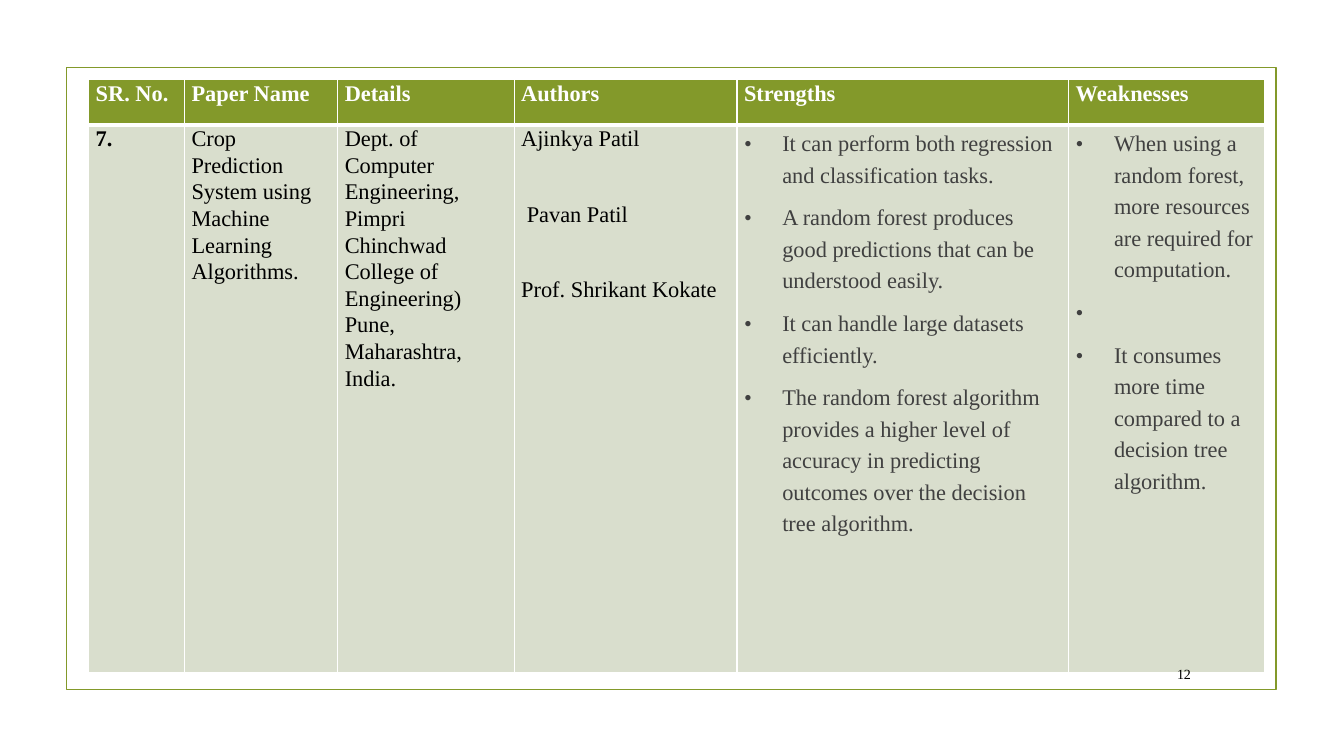
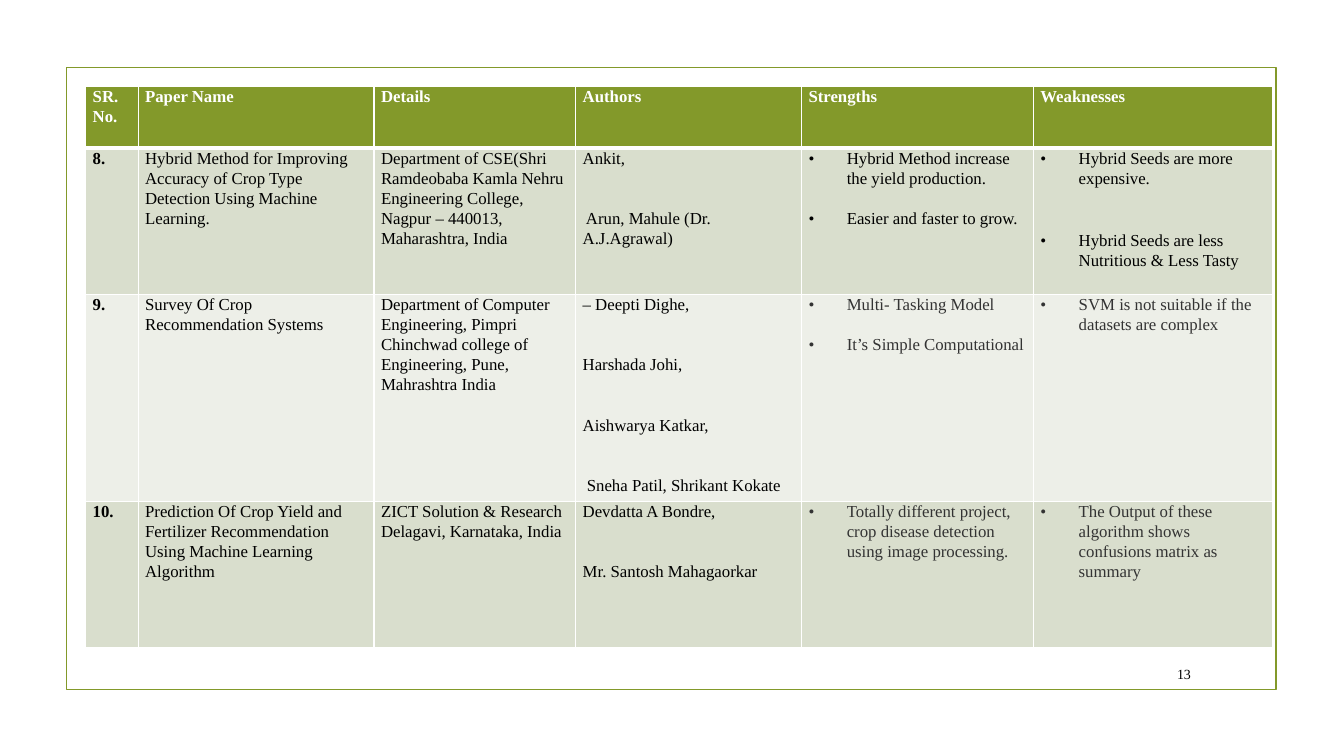
from lxml import etree
from pptx import Presentation
from pptx import util as u
from pptx.dml import color
from pptx.enum import shapes, text
from pptx.oxml import ns

COLORS = {
    "green": "83992A",
    "band": "D9DECD",
    "pale": "EDEFE8",
    "white": "FFFFFF",
    "black": "000000",
    "gray": "404040",
    "charcoal": "333333",
}
BLANK = chr(160)
HEADINGS = ["SR. No.", "Paper Name", "Details", "Authors", "Strengths", "Weaknesses"]
BULLET_COLUMNS = (4, 5)


def rgb(name):
    return color.RGBColor.from_string(COLORS[name])


class Deck:
    font = "Times New Roman"
    line_spacing = 1.07
    indent = u.Inches(0.38)

    def __init__(self):
        self.prs = Presentation()
        self.prs.slide_width = u.Inches(13.33)
        self.prs.slide_height = u.Inches(7.5)
        self.s = None

    def slide(self):
        self.s = self.prs.slides.add_slide(self.prs.slide_layouts[6])
        self.frame()

    def frame(self):
        sp = self.s.shapes.add_shape(
            shapes.MSO_SHAPE.RECTANGLE,
            u.Inches(0.66), u.Inches(0.67), u.Inches(12), u.Inches(6.17))
        sp.shadow.inherit = False
        sp.fill.background()
        sp.line.color.rgb = rgb("green")
        sp.line.width = u.Pt(1.25)

    def page_number(self, number):
        sp = self.s.shapes.add_textbox(
            u.Inches(11.32), u.Inches(6.53), u.Inches(0.59), u.Inches(0.31))
        tf = sp.text_frame
        tf.word_wrap = True
        tf.vertical_anchor = text.MSO_ANCHOR.MIDDLE
        p = tf.paragraphs[0]
        p.alignment = text.PP_ALIGN.RIGHT
        self.run(p, str(number), 10, "black")

    def run(self, p, words, size, ink, bold=False):
        r = p.add_run()
        r.text = words
        r.font.name = self.font
        r.font.size = u.Pt(size)
        r.font.bold = bold
        r.font.color.rgb = rgb(ink)

    def bullet(self, p):
        pPr = p._p.get_or_add_pPr()
        pPr.set("marL", str(self.indent))
        pPr.set("indent", str(-self.indent))
        etree.SubElement(pPr, ns.qn("a:buFont")).set("typeface", self.font)
        etree.SubElement(pPr, ns.qn("a:buChar")).set("char", "•")

    def borders(self, cell, widths):
        tcPr = cell._tc.get_or_add_tcPr()
        for i, (side, width) in enumerate(widths.items()):
            ln = etree.Element(ns.qn("a:ln" + side), w=str(u.Pt(width)))
            fill = etree.SubElement(ln, ns.qn("a:solidFill"))
            etree.SubElement(fill, ns.qn("a:srgbClr"), val=COLORS["white"])
            tcPr.insert(i, ln)

    def cell(self, cell, lines, fill, size, ink, bold=False, gap=0,
             bulleted=False, spacing=line_spacing):
        cell.margin_left = cell.margin_right = u.Inches(0.07)
        cell.margin_top = cell.margin_bottom = 0
        cell.fill.solid()
        cell.fill.fore_color.rgb = rgb(fill)
        tf = cell.text_frame
        for i, words in enumerate(lines):
            p = tf.paragraphs[0] if i == 0 else tf.add_paragraph()
            p.line_spacing = spacing
            if i < len(lines) - 1:
                p.space_after = u.Pt(gap)
            if bulleted:
                self.bullet(p)
            self.run(p, words, size, ink, bold)

    def table(self, left, top, widths, heights, size, records, gaps,
              bullet_inks, bullet_spacing=line_spacing):
        tbl = self.s.shapes.add_table(
            len(heights), len(widths), u.Inches(left), u.Inches(top),
            u.Inches(sum(widths)), u.Inches(sum(heights))).table
        for column, width in zip(tbl.columns, widths):
            column.width = u.Inches(width)
        for row, height in zip(tbl.rows, heights):
            row.height = u.Inches(height)
        for c, heading in enumerate(HEADINGS):
            self.cell(tbl.cell(0, c), [heading], "green", size, "white", True)
        for r, (record, bullet_ink) in enumerate(zip(records, bullet_inks), 1):
            fill = "band" if r % 2 else "pale"
            for c, lines in enumerate(record):
                bulleted = c in BULLET_COLUMNS
                self.cell(
                    tbl.cell(r, c), lines, fill, size,
                    bullet_ink if bulleted else "black", c == 0,
                    gaps.get(c, 0), bulleted,
                    bullet_spacing if bulleted else self.line_spacing)
        for r in range(len(heights)):
            for c in range(len(widths)):
                self.borders(tbl.cell(r, c), {
                    "L": 1, "R": 1,
                    "T": 3 if r == 1 else 1,
                    "B": 3 if r == 0 else 1})


def main():
    deck = Deck()

    deck.slide()
    deck.table(
        0.88, 0.79, [0.95, 1.52, 1.75, 2.21, 3.29, 1.94], [0.45, 5.43], 16,
        [[
            ["7."],
            ["Crop Prediction System using Machine Learning Algorithms."],
            ["Dept. of Computer Engineering, Pimpri Chinchwad College of "
             "Engineering) Pune, Maharashtra, India."],
            ["Ajinkya Patil", " Pavan Patil", "Prof. Shrikant Kokate"],
            ["It can perform both regression and classification tasks.",
             "A random forest produces good predictions that can be "
             "understood easily.",
             "It can handle large datasets efficiently.",
             "The random forest algorithm provides a higher level of accuracy "
             "in predicting outcomes over the decision tree algorithm."],
            ["When using a random forest, more resources are required for "
             "computation.",
             BLANK,
             "It consumes more time compared to a decision tree algorithm."],
        ]],
        {3: 35, 4: 8, 5: 8}, ["gray"], u.Pt(22.5))
    deck.page_number(12)

    deck.slide()
    deck.table(
        0.85, 0.86, [0.52, 2.34, 2, 2.24, 2.3, 2.37],
        [0.61, 1.45, 2.05, 1.45], 12,
        [[
            ["8."],
            ["Hybrid Method for Improving Accuracy of Crop Type Detection "
             "Using Machine Learning."],
            ["Department of CSE(Shri Ramdeobaba Kamla Nehru Engineering "
             "College, Nagpur – 440013, Maharashtra, India"],
            ["Ankit,", " Arun, Mahule (Dr. A.J.Agrawal)"],
            ["Hybrid Method increase the yield production.",
             "Easier and faster to grow."],
            ["Hybrid Seeds are more expensive.",
             "Hybrid Seeds are less Nutritious & Less Tasty"],
        ], [
            ["9."],
            ["Survey Of Crop Recommendation Systems"],
            ["Department of Computer Engineering, Pimpri Chinchwad college of "
             "Engineering, Pune, Mahrashtra India"],
            ["– Deepti Dighe,", "Harshada Johi,", "Aishwarya Katkar,",
             " Sneha Patil, Shrikant Kokate"],
            ["Multi- Tasking Model", "It’s Simple Computational"],
            ["SVM is not suitable if the datasets are complex"],
        ], [
            ["10."],
            ["Prediction Of Crop Yield and Fertilizer Recommendation Using "
             "Machine Learning Algorithm"],
            ["ZICT Solution & Research Delagavi, Karnataka, India"],
            ["Devdatta A Bondre,", "Mr. Santosh Mahagaorkar"],
            ["Totally different project, crop disease detection using image "
             "processing."],
            ["The Output of these algorithm shows confusions matrix as "
             "summary"],
        ]],
        {3: 28.8, 4: 14.2, 5: 30.2}, ["black", "charcoal", "charcoal"])
    deck.page_number(13)

    deck.prs.save("out.pptx")


if __name__ == "__main__":
    main()
